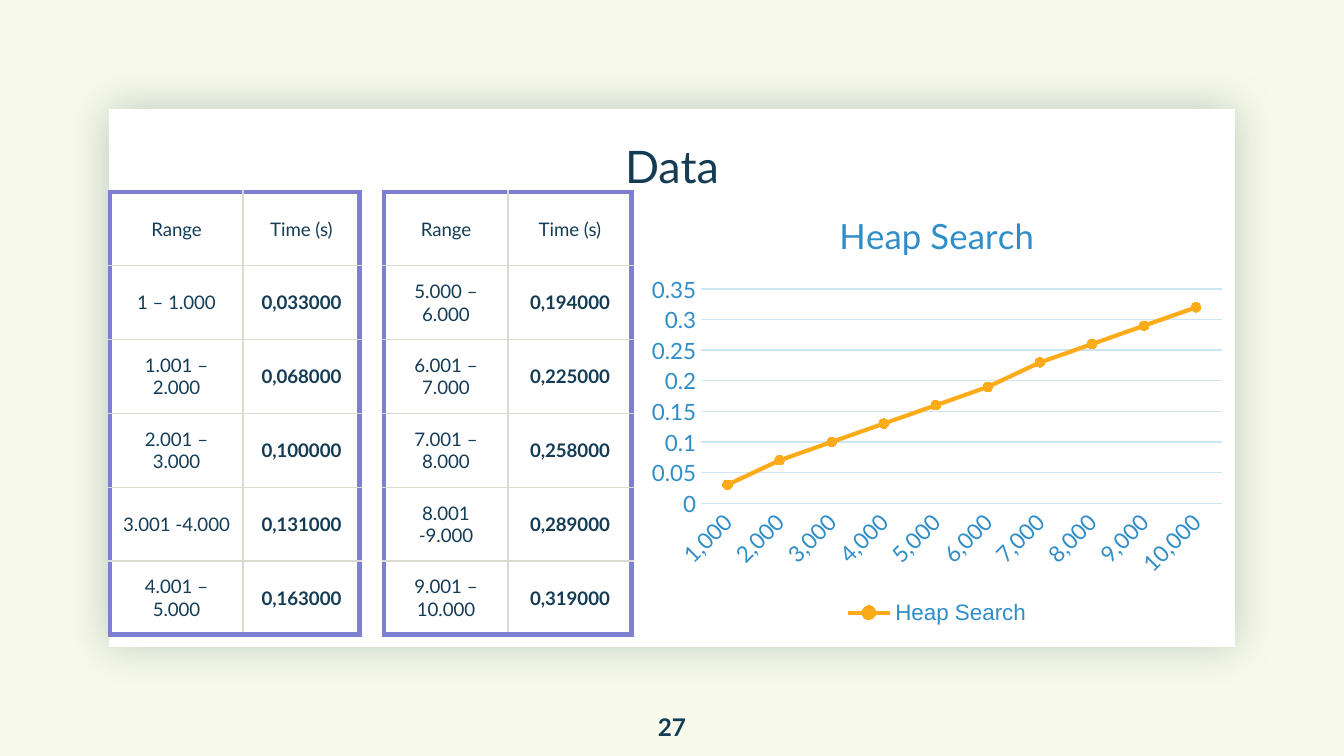
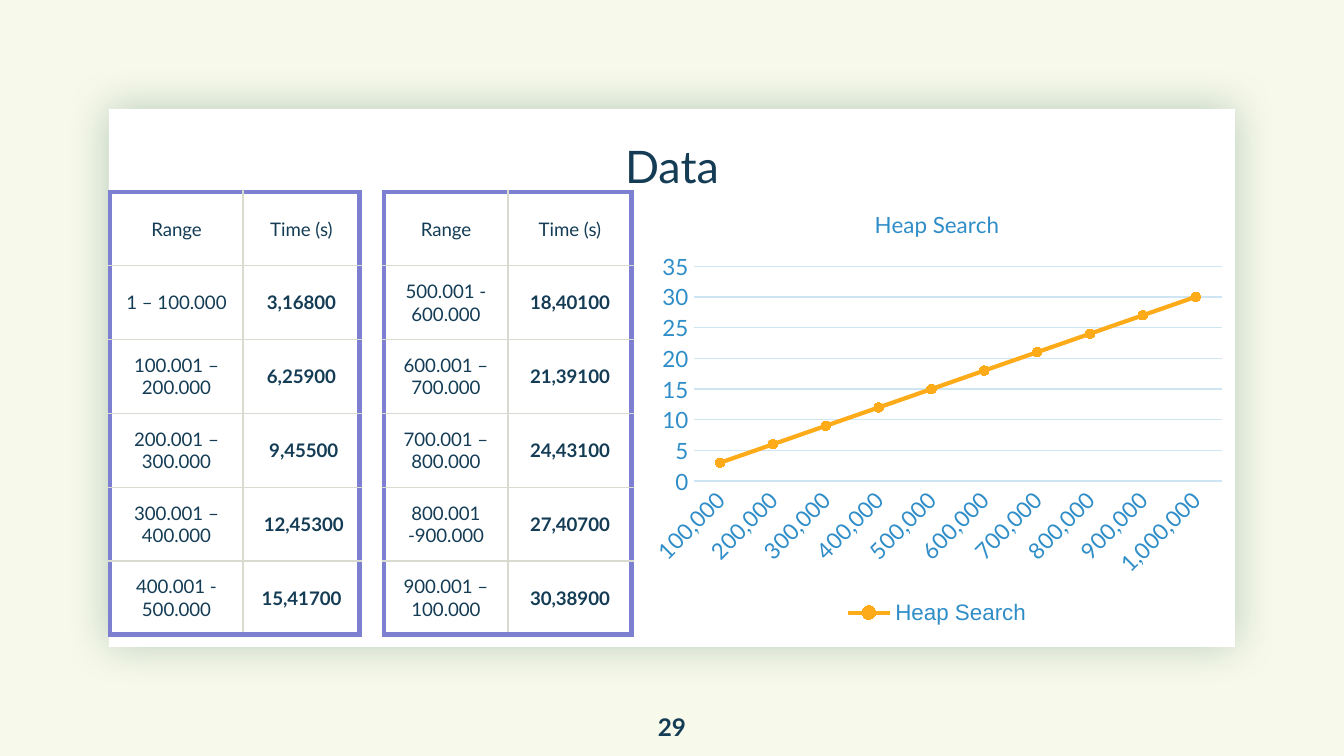
from lxml.etree import SubElement
from pptx import Presentation
from pptx.chart.data import CategoryChartData
from pptx.dml.color import RGBColor
from pptx.enum.chart import XL_CHART_TYPE, XL_LEGEND_POSITION, XL_MARKER_STYLE, XL_TICK_MARK
from pptx.enum.shapes import MSO_SHAPE
from pptx.enum.text import MSO_ANCHOR, PP_ALIGN
from pptx.oxml import parse_xml
from pptx.oxml.ns import nsdecls, qn
from pptx.util import Pt

# Content: page, size of chart title, step between categories,
# decimals in the chart, (range, time) rows
SLIDES = [
    (27, 18.6, 1000, 2, [
        ("1 – 1.000", "0,033000"),
        ("1.001 – 2.000", "0,068000"),
        ("2.001 – 3.000", "0,100000"),
        ("3.001 -4.000", "0,131000"),
        ("4.001 – 5.000", "0,163000"),
        ("5.000 – 6.000", "0,194000"),
        ("6.001 – 7.000", "0,225000"),
        ("7.001 – 8.000", "0,258000"),
        ("8.001 -9.000", "0,289000"),
        ("9.001 – 10.000", "0,319000"),
    ]),
    (29, 12, 100000, 0, [
        ("1 – 100.000", "3,16800"),
        ("100.001 – 200.000", "6,25900"),
        ("200.001 – 300.000", " 9,45500"),
        ("300.001 – 400.000", " 12,45300"),
        ("400.001 - 500.000", "15,41700"),
        ("500.001 - 600.000", "18,40100"),
        ("600.001 – 700.000", "21,39100"),
        ("700.001 – 800.000", "24,43100"),
        ("800.001 -900.000", "27,40700"),
        ("900.001 – 100.000", "30,38900"),
    ]),
]
TITLE, SERIES = "Data", "Heap Search"
HEAD = ("Range", "Time (s)")

# Style
PAPER, WHITE, SHADE = "F7F9EA", "FFFFFF", "054C3A"
INK, BLUE, GRID, GOLD = "143C55", "2F8DC8", "CEE5F3", "FEAB19"
FRAME, RULE = ("7D7FD0", 3), ("D9DAD0", 0.75)
LATO, ARIAL = "Lato", "Arial"

# Places in px
CARD = (109, 109, 1126, 538)
TITLE_BOX = (159, 144, 1026, 49)
PAGE_BOX = (632, 698, 80, 58)
PLOT = (640, 188, 594, 442)
TABLES = [(110, (133, 117)), (384, (124, 124))]
TOP, TALL = 192, 443
PAD_X, PAD_Y = 13, 9


def px(n):
    return round(n * 914400 / 134.4)


def box(place):
    return [px(n) for n in place]


def rgb(code):
    return RGBColor.from_string(code)


def style(font, size, color, name=LATO, bold=False):
    font.size, font.name, font.bold = Pt(size), name, bold
    font.color.rgb = rgb(color)


def stroke(line, color, width):
    line.color.rgb = rgb(color)
    line.width = Pt(width)


def center(frame, text, size, bold=False):
    frame.text = text
    para = frame.paragraphs[0]
    para.alignment = PP_ALIGN.CENTER
    style(para.runs[0].font, size, INK, bold=bold)
    return para


def add_card(slide):
    card = slide.shapes.add_shape(MSO_SHAPE.RECTANGLE, *box(CARD))
    card.fill.solid()
    card.fill.fore_color.rgb = rgb(WHITE)
    card.line.fill.background()
    card.shadow.inherit = False
    glow = parse_xml(
        f'<a:outerShdw {nsdecls("a")} blurRad="{Pt(22.5)}" dist="0" dir="0" '
        f'algn="ctr" rotWithShape="0"><a:srgbClr val="{SHADE}">'
        '<a:alpha val="25000"/></a:srgbClr></a:outerShdw>')
    card._element.spPr.find(qn("a:effectLst")).append(glow)


def add_label(slide, place, text, size, anchor, bold=False):
    frame = slide.shapes.add_textbox(*box(place)).text_frame
    frame.word_wrap = True
    frame.vertical_anchor = anchor
    frame.margin_left = frame.margin_right = 0
    frame.margin_top = frame.margin_bottom = 0
    return center(frame, text, size, bold)


def edge(cell, side, color, width):
    line = SubElement(cell._tc.get_or_add_tcPr(), qn(f"a:ln{side}"), w=str(Pt(width)))
    fill = SubElement(line, qn("a:solidFill"))
    SubElement(fill, qn("a:srgbClr"), val=color)


def add_grid(slide, left, widths, rows):
    count, span = len(rows), len(widths)
    place = box((left, TOP, sum(widths), TALL))
    table = slide.shapes.add_table(count, span, *place).table
    table.first_row = table.horz_banding = False
    for col, width in zip(table.columns, widths):
        col.width = px(width)
    for r, row in enumerate(rows):
        table.rows[r].height = px(TALL / count)
        for c, text in enumerate(row):
            cell = table.cell(r, c)
            cell.vertical_anchor = MSO_ANCHOR.MIDDLE
            cell.margin_left = cell.margin_right = px(PAD_X)
            cell.margin_top = cell.margin_bottom = px(PAD_Y)
            center(cell.text_frame, text, 10, bold=r > 0 and c == 1)
            # Outer edges get the frame, inner ones the thin rule
            outer = {"L": c == 0, "R": c == span - 1, "T": r == 0, "B": r == count - 1}
            for side, out in outer.items():
                edge(cell, side, *(FRAME if out else RULE))
            cell.fill.background()


def add_plot(slide, size, step, digits, rows):
    data = CategoryChartData()
    data.categories = [step * (i + 1) for i in range(len(rows))]
    data.categories.number_format = "#,##0"
    times = [float(time.replace(",", ".")) for _, time in rows]
    data.add_series(SERIES, [round(time, digits) for time in times])
    chart = slide.shapes.add_chart(XL_CHART_TYPE.LINE_MARKERS, *box(PLOT), data).chart
    style(chart.font, 10, INK, ARIAL)

    # Title and legend
    chart.has_title = True
    frame = chart.chart_title.text_frame
    frame.text = SERIES
    style(frame.paragraphs[0].runs[0].font, size, BLUE)
    chart.has_legend = True
    chart.legend.position = XL_LEGEND_POSITION.BOTTOM
    chart.legend.include_in_layout = False
    style(chart.legend.font, 12, BLUE, ARIAL)

    # Axes
    cat, val = chart.category_axis, chart.value_axis
    for axis, form in ((cat, "#,##0"), (val, "General")):
        axis.major_tick_mark = axis.minor_tick_mark = XL_TICK_MARK.NONE
        style(axis.tick_labels.font, 12, BLUE)
        axis.tick_labels.number_format = form
        axis.tick_labels.number_format_is_linked = False
    cat._element.txPr.find(qn("a:bodyPr")).set("rot", "-2700000")
    stroke(cat.format.line, GRID, 0.75)
    val.format.line.fill.background()
    val.has_major_gridlines = True
    stroke(val.major_gridlines.format.line, GRID, 0.75)

    # Series
    chart.plots[0].vary_by_categories = False
    series = chart.plots[0].series[0]
    series.smooth = False
    stroke(series.format.line, GOLD, 2.25)
    mark = series.marker
    mark.style, mark.size = XL_MARKER_STYLE.CIRCLE, 5
    mark.format.fill.solid()
    mark.format.fill.fore_color.rgb = rgb(GOLD)
    stroke(mark.format.line, GOLD, 0.75)


def main():
    prs = Presentation()
    prs.slide_width, prs.slide_height = px(1344), px(756)
    back = prs.slide_master.background.fill
    back.solid()
    back.fore_color.rgb = rgb(PAPER)
    for page, size, step, digits, rows in SLIDES:
        slide = prs.slides.add_slide(prs.slide_layouts[6])
        add_card(slide)
        title = add_label(slide, TITLE_BOX, TITLE, 24, MSO_ANCHOR.BOTTOM)
        title.line_spacing = 0.9
        add_label(slide, PAGE_BOX, str(page), 13, MSO_ANCHOR.MIDDLE, bold=True)
        half = len(rows) // 2
        for (left, widths), part in zip(TABLES, (rows[:half], rows[half:])):
            add_grid(slide, left, widths, [HEAD, *part])
        add_plot(slide, size, step, digits, rows)
    prs.save("out.pptx")


if __name__ == "__main__":
    main()
